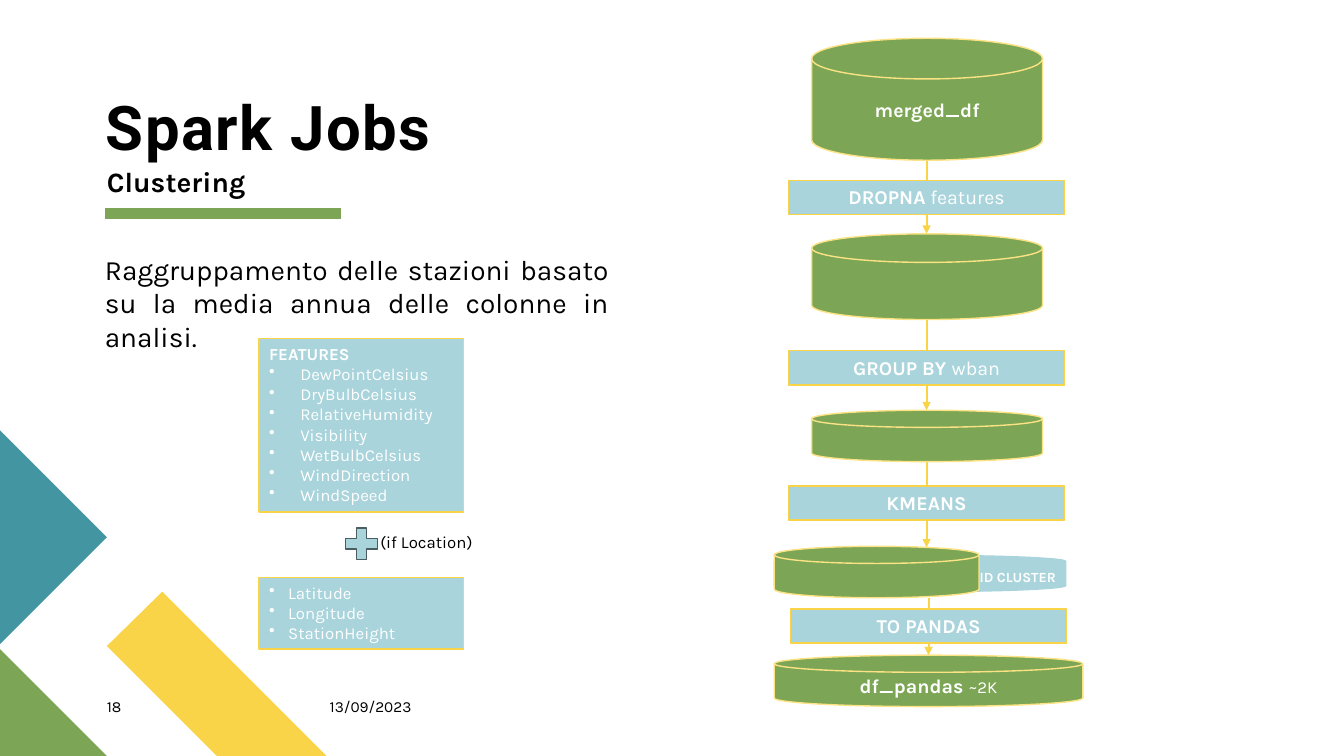
from lxml.etree import SubElement
from pptx import Presentation
from pptx.dml.color import RGBColor
from pptx.enum.shapes import MSO_CONNECTOR, MSO_SHAPE
from pptx.enum.text import MSO_ANCHOR, MSO_AUTO_SIZE as FIT, PP_ALIGN
from pptx.oxml.ns import qn
from pptx.util import Inches, Pt

C = {"green": "7CA655", "teal": "4495A2", "yellow": "F9D448", "pale": "FBE284",
     "blue": "A9D4DB", "slate": "4A5D60", "white": "FFFFFF", "black": "000000"}
C = {name: RGBColor.from_string(value) for name, value in C.items()}
DISK, RECT = MSO_SHAPE.FLOWCHART_MAGNETIC_DISK, MSO_SHAPE.RECTANGLE

prs = Presentation()
prs.slide_width, prs.slide_height = Inches(13.33), Inches(7.5)
s = prs.slides.add_slide(prs.slide_layouts[1])


def write(sp, paragraphs, color="white", align=PP_ALIGN.LEFT, anchor=MSO_ANCHOR.TOP,
          inset=None, fit=FIT.NONE, indent=0):
    """Each paragraph is a list of (text, size, bold) runs; indent adds bullets."""
    tf = sp.text_frame
    tf.word_wrap, tf.auto_size, tf.vertical_anchor = True, fit, anchor
    if inset is not None:
        for side in ("left", "top", "right", "bottom"):
            setattr(tf, f"margin_{side}", Inches(inset))
    for i, runs in enumerate(paragraphs):
        p = tf.paragraphs[0] if i == 0 else tf.add_paragraph()
        p.alignment = align
        bulleted = indent and not runs[0][2]
        pPr = p._p.get_or_add_pPr()
        pPr.set("marL", str(Inches(indent) if bulleted else 0))
        pPr.set("indent", str(-Inches(indent) if bulleted else 0))
        if bulleted:
            SubElement(pPr, qn("a:buChar")).set("char", "•")
        else:
            SubElement(pPr, qn("a:buNone"))
        p.space_before = Pt(0)
        for text, size, bold in runs:
            r = p.add_run()
            r.text = text
            font = {"name": "Karla", "size": Pt(size), "bold": bold}
            for key, value in font.items():
                setattr(r.font, key, value)
            r.font.color.rgb = C[color]


def draw(kind, box, fill, line):
    sp = s.shapes.add_shape(kind, *map(Inches, box))
    sp.shadow.inherit = False
    sp.fill.solid()
    sp.fill.fore_color.rgb = C[fill]
    sp.line.color.rgb = C[line]
    sp.line.width = Pt(1)
    return sp


# Corner decoration
corners = [
    ("yellow", [(3.24, 7.5), (2.15, 7.5), (1.06, 6.41), (1.61, 5.87)]),
    ("green", [(1.06, 7.5), (0, 7.5), (0, 6.44)]),
    ("teal", [(0, 4.27), (1.06, 5.33), (0, 6.39)]),
]
for color, points in corners:
    points = [(Inches(x), Inches(y)) for x, y in points]
    fb = s.shapes.build_freeform(*points[0])
    fb.add_line_segments(points[1:], close=True)
    sp = fb.convert_to_shape()
    sp.shadow.inherit = False
    sp.fill.solid()
    sp.fill.fore_color.rgb = C[color]
    sp.line.fill.background()

# Title and subtitle
title, subtitle = s.shapes.title, s.placeholders[1]
for sp, box in ((title, (1.05, 0.96, 5.4, 0.67)), (subtitle, (1.06, 1.63, 1.51, 0.39))):
    sp.left, sp.top, sp.width, sp.height = map(Inches, box)
write(title, [[("Spark Jobs", 44, True)]], "black", anchor=MSO_ANCHOR.BOTTOM, inset=0)
p = title.text_frame.paragraphs[0]
p.line_spacing = 0.9
p.runs[0].font.name = "Roboto"
p.runs[0].font._element.set("spc", "100")
write(subtitle, [[("Clustering", 20, True)]], "black", inset=0)

# Description, date, page number and condition
texts = [
    ((1.04, 2.5, 5, 0.85), "Raggruppamento delle stazioni basato su la media annua "
     "delle colonne in analisi.", 20, PP_ALIGN.JUSTIFY, 0),
    ((3.27, 6.92, 1.44, 0.27), "13/09/2023", 11, PP_ALIGN.LEFT, 0),
    ((1.06, 6.92, 0.57, 0.27), "18", 11, PP_ALIGN.LEFT, 0),
    ((3.66, 5.23, 1.14, 0.3), "(if Location)", 12, PP_ALIGN.CENTER, None),
]
for box, text, size, align, inset in texts:
    sp = s.shapes.add_textbox(*map(Inches, box))
    write(sp, [[(text, size, False)]], "black", align, inset=inset)

# Feature lists
features = ["DewPointCelsius", "DryBulbCelsius", "RelativeHumidity", "Visibility",
            "WetBulbCelsius", "WindDirection", "WindSpeed"]
location = ["Latitude", "Longitude", "StationHeight"]
for top, height, heading, names, indent in (
        (3.36, 1.72, ["FEATURES"], features, 0.31), (5.73, 0.71, [], location, 0.19)):
    sp = draw(RECT, (2.57, top, 2.03, height), "blue", "yellow")
    rows = [[(h, 12, True)] for h in heading] + [[(n, 12, False)] for n in names]
    write(sp, rows, fit=FIT.SHAPE_TO_FIT_TEXT, indent=indent)
draw(MSO_SHAPE.MATH_PLUS, (3.37, 5.18, 0.43, 0.43), "blue", "slate")

# Rule under the subtitle and flow arrows
lines = [(1.04, 2.12, 3.38, 2.12, "green", 8)]
lines += [(x, y1, x, y2, "yellow", 1.5) for x, y1, y2 in (
    (9.19, 1.59, 2.32), (9.19, 3.17, 4.07), (9.19, 4.58, 5.43), (9.21, 5.93, 6.5))]
for x1, y1, x2, y2, color, width in lines:
    ends = map(Inches, (x1, y1, x2, y2))
    cn = s.shapes.add_connector(MSO_CONNECTOR.STRAIGHT, *ends)
    cn.line.color.rgb = C[color]
    cn.line.width = Pt(width)
    if color == "yellow":
        SubElement(cn.line._get_or_add_ln(), qn("a:tailEnd")).set("type", "triangle")
    SubElement(cn._element.spPr, qn("a:effectLst"))

# Data sets, with the added cluster column behind the clustered one
disks = [
    ((8.05, 0.38, 2.29, 1.21), "green", "pale", [("merged_df", 14, True)]),
    ((8.05, 2.32, 2.29, 0.85), "green", "pale", []),
    ((8.05, 4.07, 2.29, 0.51), "green", "pale", []),
    ((7.68, 5.51, 2.89, 0.36), "blue", "blue", [("ID CLUSTER", 10, True)]),
    ((7.68, 5.42, 2.03, 0.51), "green", "pale", []),
    ((7.68, 6.5, 3.06, 0.51), "green", "pale", [("df_pandas ", 14, True), ("~2K", 12, False)]),
]
for box, fill, line, runs in disks:
    sp = draw(DISK, box, fill, line)
    if runs:
        align = PP_ALIGN.RIGHT if fill == "blue" else PP_ALIGN.CENTER
        write(sp, [runs], align=align, anchor=MSO_ANCHOR.MIDDLE)

# Operations
steps = [
    (7.82, 1.79, [("DROPNA", 14, True), (" features", 14, False)]),
    (7.82, 3.48, [("GROUP BY ", 14, True), ("wban", 14, False)]),
    (7.82, 4.82, [("KMEANS", 14, True)]),
    (7.84, 6.04, [("TO PANDAS", 14, True)]),
]
for left, top, runs in steps:
    sp = draw(RECT, (left, top, 2.74, 0.34), "blue", "yellow")
    write(sp, [runs], align=PP_ALIGN.CENTER, fit=FIT.SHAPE_TO_FIT_TEXT)

prs.save("out.pptx")
